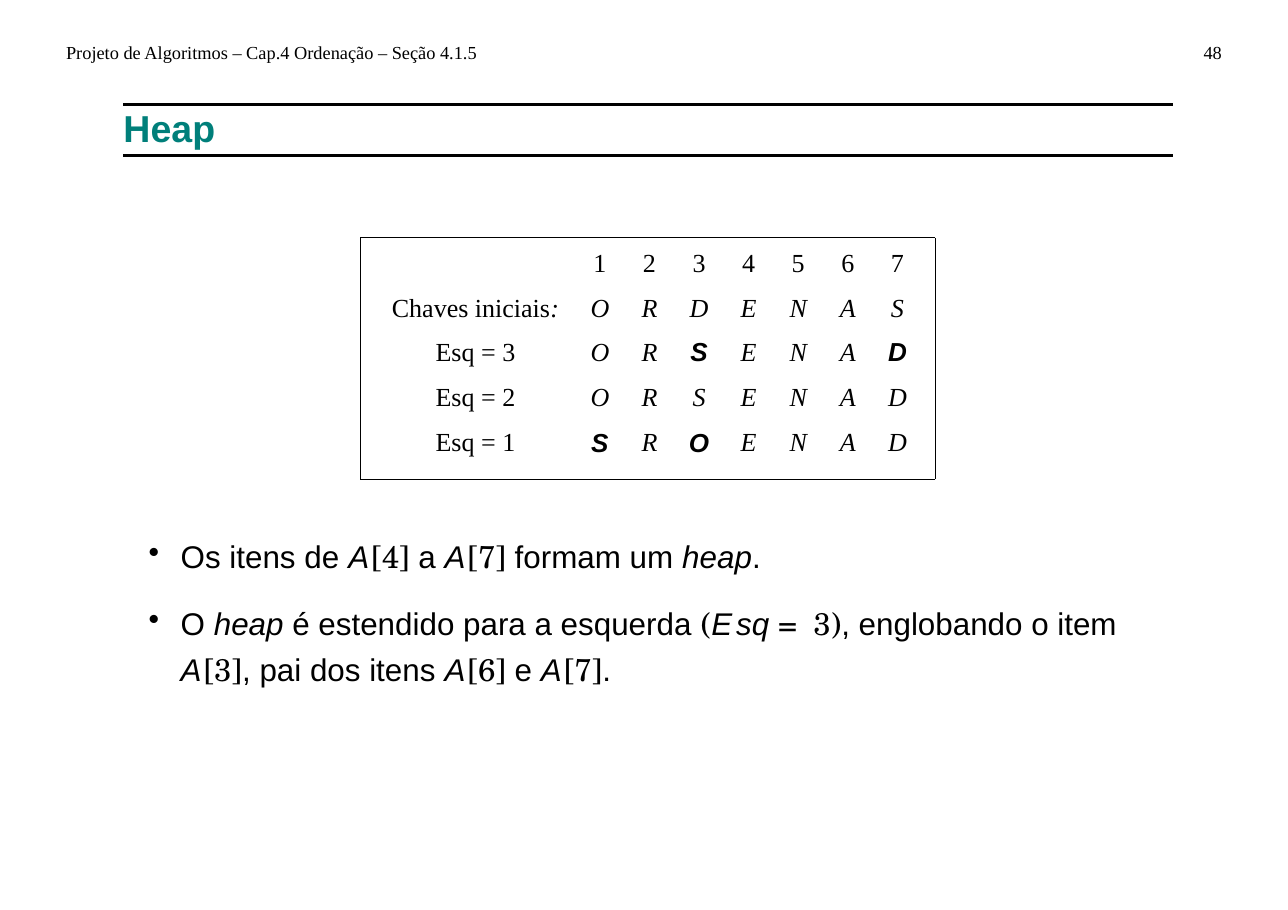
import pptx
import pptx.dml.color
import pptx.enum.shapes
import pptx.enum.text
import pptx.util
from lxml import etree
from pptx.oxml.ns import qn
from pptx.util import Inches, Pt

COLORS = {"ink": "000000", "heading": "007F7A"}
SERIF, SANS, MATH = "Times New Roman", "Arial", "TeX Gyre Schola"
ALIGN = pptx.enum.text.PP_ALIGN
ANCHOR = pptx.enum.text.MSO_ANCHOR

FORMATS = {
    "header": {"name": SERIF, "size": Pt(12)},
    "title": {"name": SANS, "size": Pt(24.5), "bold": True},
    "label": {"name": SERIF, "size": Pt(17)},
    "key": {"name": SERIF, "size": Pt(17), "italic": True},
    "moved": {"name": SANS, "size": Pt(17), "italic": True, "bold": True},
    "body": {"name": SANS, "size": Pt(20.5)},
    "term": {"name": SANS, "size": Pt(20.5), "italic": True},
    "math": {"name": MATH, "size": Pt(20.5)},
}
NO_MARGINS = {"margin_left": 0, "margin_right": 0, "margin_top": 0, "margin_bottom": 0}

RULE_LEFT, RULE_RIGHT = 1.12, 10.65
RULE_TOPS = (0.95, 1.41)
FRAME_LEFT, FRAME_TOP, FRAME_RIGHT, FRAME_BOTTOM = 3.27, 2.16, 8.49, 4.35
LABEL_WIDTH, KEY_WIDTH = 1.68, 0.45
ROW_HEIGHTS = [0.4, 0.4, 0.41, 0.41, 0.39]

# Row label, keys, and the positions of the keys that have just moved
HEAP_STEPS = [
    ("Chaves iniciais", "ORDENAS", ()),
    ("Esq = 3", "ORSENAD", (3, 7)),
    ("Esq = 2", "ORSENAD", ()),
    ("Esq = 1", "SROENAD", (1, 3)),
]


def set_all(target, values):
    for attribute, value in values.items():
        setattr(target, attribute, value)


def rgb(color):
    return pptx.dml.color.RGBColor.from_string(COLORS[color])


def add_run(paragraph, style, text, spacing=0, color="ink"):
    """Append a run; spacing is the letter spacing in points."""
    run = paragraph.add_run()
    run.text = text
    set_all(run.font, FORMATS[style])
    run.font.color.rgb = rgb(color)
    if spacing:
        run.font._element.set("spc", str(round(spacing * 100)))


def add_text_box(slide, left, top, width, height):
    box = slide.shapes.add_textbox(
        Inches(left), Inches(top), Inches(width), Inches(height))
    set_all(box.text_frame, {**NO_MARGINS, "word_wrap": True})
    return box.text_frame


def add_header(slide, left, width, text, alignment):
    paragraph = add_text_box(slide, left, 0.37, width, 0.21).paragraphs[0]
    paragraph.alignment = alignment
    add_run(paragraph, "header", text)


def add_line(slide, start, end, weight):
    line = slide.shapes.add_connector(
        pptx.enum.shapes.MSO_CONNECTOR.STRAIGHT, *map(Inches, start + end))
    line.line.color.rgb = rgb("ink")
    line.line.width = Pt(weight)
    etree.SubElement(line._element.spPr, qn("a:effectLst"))


def set_title(slide, text):
    title = slide.shapes.title
    set_all(title, {"left": Inches(RULE_LEFT), "top": Inches(0.94),
                    "width": Inches(RULE_RIGHT - RULE_LEFT),
                    "height": Inches(0.43)})
    set_all(title.text_frame, {**NO_MARGINS, "vertical_anchor": ANCHOR.MIDDLE})
    paragraph = title.text_frame.paragraphs[0]
    paragraph.alignment = ALIGN.LEFT
    add_run(paragraph, "title", text, spacing=0.1, color="heading")


def add_frame(slide):
    corners = [(FRAME_LEFT, FRAME_TOP), (FRAME_RIGHT, FRAME_TOP),
               (FRAME_RIGHT, FRAME_BOTTOM), (FRAME_LEFT, FRAME_BOTTOM)]
    for start, end in zip(corners, corners[1:] + corners[:1]):
        add_line(slide, start, end, 0.69)


def fill_cell(cell, *runs):
    paragraph = cell.text_frame.paragraphs[0]
    paragraph.alignment = ALIGN.CENTER
    for style, text in runs:
        add_run(paragraph, style, text)


def add_heap_table(slide, left, top):
    key_count = len(HEAP_STEPS[0][1])
    widths = [LABEL_WIDTH] + [KEY_WIDTH] * key_count
    table = slide.shapes.add_table(
        len(ROW_HEIGHTS), len(widths), Inches(left), Inches(top),
        Inches(sum(widths)), Inches(sum(ROW_HEIGHTS))).table
    set_all(table, {"first_row": False, "horz_banding": False})
    for column, width in zip(table.columns, widths):
        column.width = Inches(width)
    for row, height in zip(table.rows, ROW_HEIGHTS):
        row.height = Inches(height)
    for cell in table.iter_cells():
        set_all(cell, {**NO_MARGINS, "vertical_anchor": ANCHOR.TOP})
        cell.fill.background()

    for position in range(1, key_count + 1):
        fill_cell(table.cell(0, position), ("label", str(position)))
    for row, (label, keys, moved) in enumerate(HEAP_STEPS, start=1):
        colon = [("key", ":")] if row == 1 else []
        table.cell(row, 0).margin_right = Inches(0.13)
        fill_cell(table.cell(row, 0), ("label", label), *colon)
        for position, key in enumerate(keys, start=1):
            style = "moved" if position in moved else "key"
            fill_cell(table.cell(row, position), (style, key))
        for cell in table.rows[row].cells:
            cell.margin_top = Inches(0.01)


def item(index):
    """Runs for the array item A[index]."""
    return [("term", "A", 1.4), ("math", "[", -2.1), ("math", str(index), -1.2),
            ("math", "]", -2.1)]


def add_bullets(slide, bullets):
    frame = add_text_box(slide, 1.34, 4.81, 8.81, 1.38)
    for number, runs in enumerate(bullets):
        paragraph = frame.add_paragraph() if number else frame.paragraphs[0]
        properties = paragraph._p.get_or_add_pPr()
        properties.set("marL", str(Inches(0.3)))
        properties.set("indent", str(Inches(-0.29)))
        etree.SubElement(properties, qn("a:buChar"), char="•")
        paragraph.line_spacing = 1.2
        if number:
            paragraph.space_before = Pt(14.4)
        for run in runs:
            add_run(paragraph, *run)


def main():
    deck = pptx.Presentation()
    set_all(deck, {"slide_width": Inches(11.69), "slide_height": Inches(8.26)})
    slide = deck.slides.add_slide(deck.slide_layouts.get_by_name("Title Only"))

    add_header(slide, 0.6, 4.2, "Projeto de Algoritmos – Cap.4 Ordenação – Seção 4.1.5",
               ALIGN.LEFT)
    add_header(slide, 10.8, 0.29, "48", ALIGN.RIGHT)
    set_title(slide, "Heap")
    for top in RULE_TOPS:
        add_line(slide, (RULE_LEFT, top), (RULE_RIGHT, top), 1.73)

    add_frame(slide)
    add_heap_table(slide, 3.54, 2.26)

    add_bullets(slide, [
        [("body", "Os itens de "), *item(4), ("body", " a "), *item(7),
         ("body", " formam um "), ("term", "heap"), ("body", ".")],
        [("body", "O "), ("term", "heap"), ("body", " é estendido para a esquerda "),
         ("math", "("), ("term", "E", 2.5), ("term", "s", -0.8), ("term", "q "),
         ("math", "= ", 2.5), ("math", "3", -1.2), ("math", ")"),
         ("body", ", englobando o item "), *item(3), ("body", ", pai dos itens "),
         *item(6), ("body", " e "), *item(7), ("body", ".")],
    ])
    deck.save("out.pptx")


if __name__ == "__main__":
    main()
